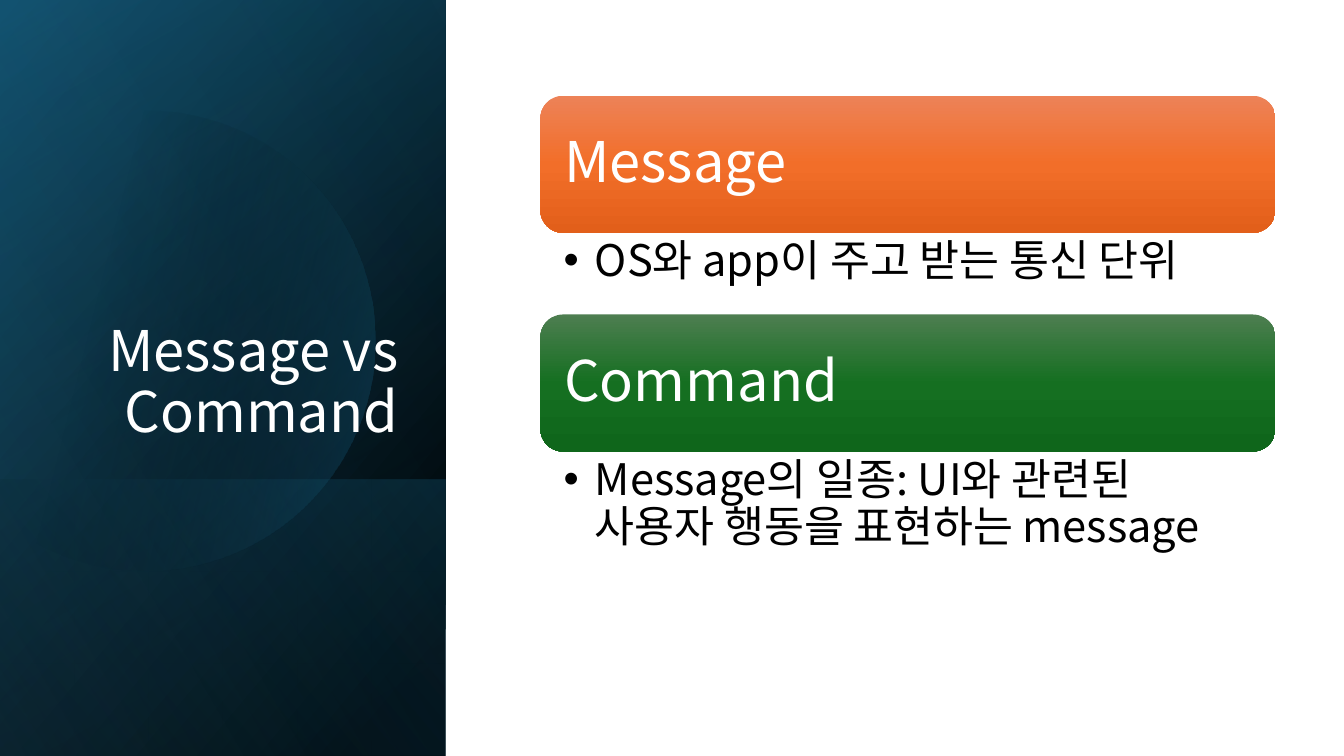
from dataclasses import dataclass
from math import acos, cos, sin

from lxml.etree import SubElement
from pptx import Presentation
from pptx.dml.color import RGBColor
from pptx.enum.shapes import MSO_SHAPE
from pptx.enum.text import MSO_ANCHOR, MSO_AUTO_SIZE, PP_ALIGN
from pptx.oxml.ns import qn
from pptx.util import Inches, Pt


@dataclass(frozen=True)
class Theme:
    font: str = "Noto Sans CJK KR"
    light: str = "FFFFFF"
    dark: str = "000000"
    deep_blue: str = "104862"
    blue: str = "156082"
    sky: str = "46B1E1"
    orange: tuple = ("ED8257", "F26E29", "E25F1A")
    green: tuple = ("4D7E50", "156F21", "0F661B")
    heading_size: int = 40
    body_size: int = 31


THEME = Theme()
PANEL_WIDTH = 4.42
SLIDE_HEIGHT = 7.5
CARD_LEFT, CARD_WIDTH, CARD_HEIGHT = 5.36, 7.29, 1.36


def fill_gradient(shape, stops, angle):
    shape.shadow.inherit = False
    shape.line.fill.background()
    shape.fill.gradient()
    gradient = shape._element.spPr.find(qn("a:gradFill"))
    gradient.set("rotWithShape", "1")
    for child in list(gradient):
        gradient.remove(child)
    stop_list = SubElement(gradient, qn("a:gsLst"))
    for position, color, opacity in stops:
        stop = SubElement(stop_list, qn("a:gs"), pos=str(position * 1000))
        swatch = SubElement(stop, qn("a:srgbClr"), val=color)
        if opacity < 100:
            SubElement(swatch, qn("a:alpha"), val=str(opacity * 1000))
    SubElement(gradient, qn("a:lin"), ang=str(angle * 60000), scaled="0")


def add_panel_layer(slide, top, stops, angle):
    length = SLIDE_HEIGHT - top
    offset = (PANEL_WIDTH - length) / 2
    layer = slide.shapes.add_shape(
        MSO_SHAPE.RECTANGLE, Inches(offset), Inches(top - offset),
        Inches(length), Inches(PANEL_WIDTH))
    layer.rotation = 90
    layer._element.spPr.find(qn("a:xfrm")).set("flipH", "1")
    fill_gradient(layer, stops, angle)


def add_panel_circle(slide, center_x, center_y, radius, stops, angle):
    steps = 120
    reach = acos(-center_x / radius)
    turns = [reach * (2 * step / steps - 1) for step in range(steps + 1)]
    points = [(Inches(center_x + radius * cos(turn)),
               Inches(center_y + radius * sin(turn))) for turn in turns]
    builder = slide.shapes.build_freeform(*points[0])
    builder.add_line_segments(points[1:], close=True)
    fill_gradient(builder.convert_to_shape(), stops, angle)


def add_text(frame, text, size, color, align, anchor, insets):
    frame.word_wrap = True
    frame.auto_size = MSO_AUTO_SIZE.NONE
    frame.vertical_anchor = anchor
    left, top, right, bottom = insets
    frame.margin_left, frame.margin_right = Inches(left), Inches(right)
    frame.margin_top, frame.margin_bottom = Inches(top), Inches(bottom)
    para = frame.paragraphs[0]
    para.alignment = align
    para.line_spacing = 0.9
    para.space_before = Pt(0)
    span = para.add_run()
    span.text = text
    span.font.name = THEME.font
    span.font.size = Pt(size)
    span.font.color.rgb = RGBColor.from_string(color)
    SubElement(span._r.get_or_add_rPr(), qn("a:ea"), typeface=THEME.font)
    return para


def place(slide, box, left, top, width, height):
    box.left, box.top = Inches(left), Inches(top)
    box.width, box.height = Inches(width), Inches(height)
    slide.shapes._spTree.append(box._element)


def add_title(slide, text):
    title = slide.shapes.title
    place(slide, title, 0.64, 1.84, 3.41, 2.62)
    add_text(title.text_frame, text, THEME.heading_size, THEME.light,
             PP_ALIGN.RIGHT, MSO_ANCHOR.BOTTOM, (0.1, 0.05, 0.1, 0.05))


def add_card(slide, top, heading, colors):
    card = slide.shapes.add_shape(
        MSO_SHAPE.ROUNDED_RECTANGLE, Inches(CARD_LEFT), Inches(top),
        Inches(CARD_WIDTH), Inches(CARD_HEIGHT))
    stops = [(50 * index, color, 100) for index, color in enumerate(colors)]
    fill_gradient(card, stops, 90)
    add_text(card.text_frame, heading, THEME.heading_size, THEME.light,
             PP_ALIGN.LEFT, MSO_ANCHOR.MIDDLE, (0.17, 0.17, 0.17, 0.17))


def add_bullet(slide, body, top, height, text):
    place(slide, body, CARD_LEFT, top, CARD_WIDTH, height)
    para = add_text(body.text_frame, text, THEME.body_size, THEME.dark,
                    PP_ALIGN.LEFT, MSO_ANCHOR.TOP, (0.23, 0.06, 0.31, 0.06))
    properties = para._p.get_or_add_pPr()
    properties.set("marL", str(Inches(0.31)))
    properties.set("indent", str(-Inches(0.31)))
    SubElement(properties, qn("a:buChar"), char="•")


def main():
    deck = Presentation()
    deck.slide_width, deck.slide_height = Inches(13.33), Inches(SLIDE_HEIGHT)
    slide = deck.slides.add_slide(deck.slide_layouts.get_by_name("Two Content"))

    add_panel_layer(slide, 0, [(8, THEME.dark, 100), (100, THEME.deep_blue, 100)], 50)
    add_panel_layer(slide, 0, [(0, THEME.dark, 0), (99, THEME.blue, 46)], 30)
    add_panel_layer(slide, 4.76, [(2, THEME.blue, 29), (100, THEME.dark, 30)], 130)
    add_panel_circle(slide, 1.44, 3.38, 2.28,
                     [(29, THEME.dark, 0), (100, THEME.blue, 43)], 14)
    add_panel_layer(slide, 0, [(0, THEME.dark, 0), (99, THEME.sky, 11)], 120)
    add_title(slide, "Message vs Command")

    sections = [
        (1, 0.95, 0.81, "Message", THEME.orange, "OS와 app이 주고 받는 통신 단위"),
        (2, 3.12, 2.17, "Command", THEME.green,
         "Message의 일종: UI와 관련된 사용자 행동을 표현하는 message"),
    ]
    for index, top, body_height, heading, colors, text in sections:
        add_card(slide, top, heading, colors)
        add_bullet(slide, slide.placeholders[index], top + CARD_HEIGHT, body_height, text)

    deck.save("out.pptx")


if __name__ == "__main__":
    main()
